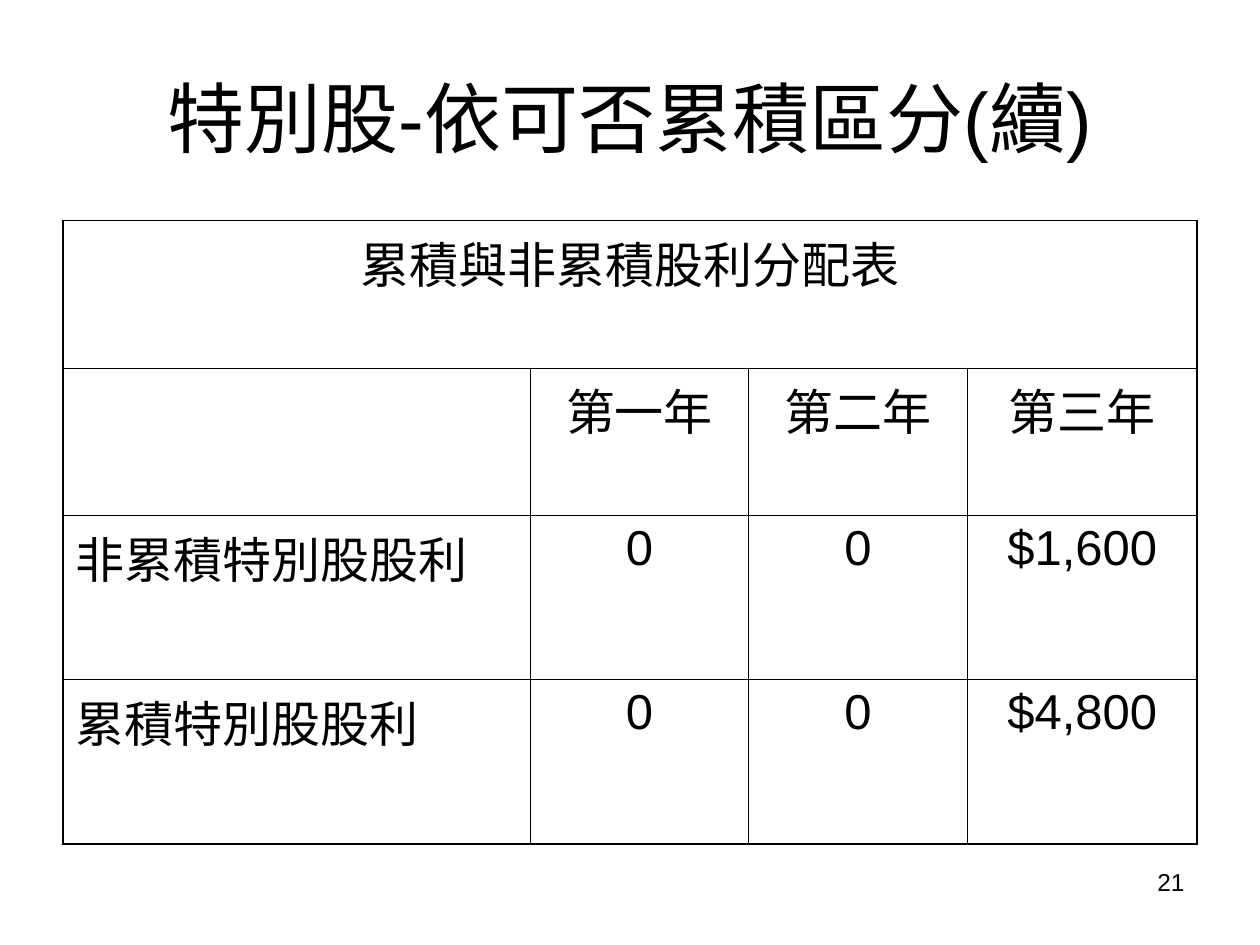
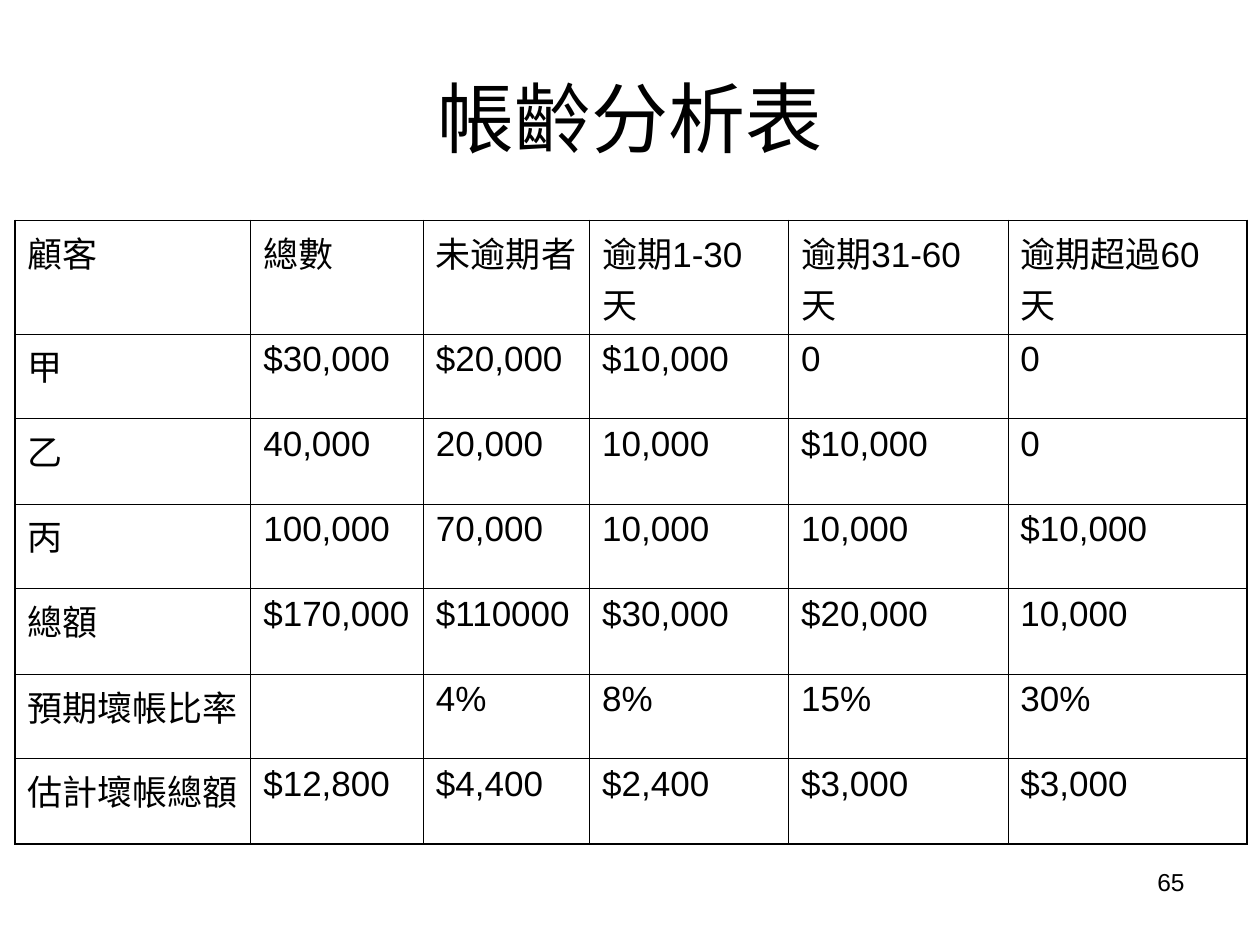
from lxml import etree
from pptx import Presentation
from pptx.dml.color import RGBColor
from pptx.enum.text import MSO_ANCHOR, PP_ALIGN
from pptx.oxml.ns import qn
from pptx.util import Inches, Pt

LEFT, CENTER, RIGHT = PP_ALIGN.LEFT, PP_ALIGN.CENTER, PP_ALIGN.RIGHT
TOP, MIDDLE = MSO_ANCHOR.TOP, MSO_ANCHOR.MIDDLE

# Shared style
FONT = "Arial"
INK = "000000"
TITLE_SIZE, NUMBER_SIZE = 44, 14
INNER_LINE, OUTER_LINE = 0.45, 1.08
TABLE_TOP = 1.75

# Content
DIVIDEND_ROWS = [
    ["累積與非累積股利分配表"],
    ["", "第一年", "第二年", "第三年"],
    ["非累積特別股股利", "0", "0", "$1,600"],
    ["累積特別股股利", "0", "0", "$4,800"],
]
AGING_ROWS = [
    ["顧客", "總數", "未逾期者", "逾期1-30天", "逾期31-60天", "逾期超過60天"],
    ["甲", "$30,000", "$20,000", "$10,000", "0", "0"],
    ["乙", "40,000", "20,000", "10,000", "$10,000", "0"],
    ["丙", "100,000", "70,000", "10,000", "10,000", "$10,000"],
    ["總額", "$170,000", "$110000", "$30,000", "$20,000", "10,000"],
    ["預期壞帳比率", "", "4%", "8%", "15%", "30%"],
    ["估計壞帳總額", "$12,800", "$4,400", "$2,400", "$3,000", "$3,000"],
]


def color(value):
    return RGBColor.from_string(value)


def style_paragraph(paragraph, size, alignment):
    paragraph.alignment = alignment
    paragraph.font.name = FONT
    paragraph.font.size = Pt(size)
    paragraph.font.color.rgb = color(INK)


def add_text(slide, text, box, size, alignment, anchor):
    shape = slide.shapes.add_textbox(*map(Inches, box))
    frame = shape.text_frame
    frame.word_wrap = True
    frame.vertical_anchor = anchor
    frame.text = text
    style_paragraph(frame.paragraphs[0], size, alignment)


def add_slide(presentation, title, number):
    """Add a blank slide with the shared title and page number."""
    slide = presentation.slides.add_slide(presentation.slide_layouts[6])
    add_text(slide, title, (0.5, 0.3, 9, 1.25), TITLE_SIZE, CENTER, MIDDLE)
    add_text(slide, number, (7.17, 6.83, 2.33, 0.52), NUMBER_SIZE, RIGHT, TOP)
    return slide


def set_borders(cell, outer_sides):
    """Draw all four sides, heavier on the edge of the table."""
    properties = cell._tc.get_or_add_tcPr()
    for side in "LRTB":
        width = OUTER_LINE if side in outer_sides else INNER_LINE
        line = etree.SubElement(properties, qn(f"a:ln{side}"), w=str(Pt(width)))
        fill = etree.SubElement(line, qn("a:solidFill"))
        etree.SubElement(fill, qn("a:srgbClr"), val=INK)


def add_grid(slide, rows, left, widths, heights, size, space_before, value_alignment):
    """Add a ruled table; a row with a single text spans all columns."""
    frame = slide.shapes.add_table(
        len(rows), len(widths), Inches(left), Inches(TABLE_TOP),
        Inches(sum(widths)), Inches(sum(heights)))
    table = frame.table
    table.first_row = table.horz_banding = False
    for column, width in zip(table.columns, widths):
        column.width = Inches(width)
    for row, height in zip(table.rows, heights):
        row.height = Inches(height)

    last_row, last_column = len(rows) - 1, len(widths) - 1
    for r, texts in enumerate(rows):
        spans_row = len(texts) == 1
        if spans_row:
            table.cell(r, 0).merge(table.cell(r, last_column))
        for c in range(len(widths)):
            cell = table.cell(r, c)
            edges = {"L": c == 0, "R": c == last_column or spans_row,
                     "T": r == 0, "B": r == last_row}
            set_borders(cell, [side for side, outer in edges.items() if outer])
            cell.fill.background()
            if c < len(texts) and texts[c]:
                cell.text = texts[c]
                paragraph = cell.text_frame.paragraphs[0]
                is_label = c == 0 and not spans_row
                style_paragraph(paragraph, size, LEFT if is_label else value_alignment)
                paragraph.space_before = Pt(space_before)


def main():
    presentation = Presentation()
    presentation.slide_width = Inches(10)
    presentation.slide_height = Inches(7.5)

    # Dividends on preferred shares
    slide = add_slide(presentation, "特別股-依可否累積區分(續)", "21")
    add_grid(slide, DIVIDEND_ROWS, 0.5, [3.71, 1.73, 1.74, 1.82],
             [1.17, 1.17, 1.3, 1.31], 28, 7, CENTER)

    # Aging of receivables: columns just wide enough for their longest amounts
    slide = add_slide(presentation, "帳齡分析表", "65")
    add_grid(slide, AGING_ROWS, 0.12, [1.87, 1.37, 1.32, 1.58, 1.74, 1.9],
             [0.9] + [0.67, 0.68] * 3, 20, 5, LEFT)

    presentation.save("out.pptx")


if __name__ == "__main__":
    main()
